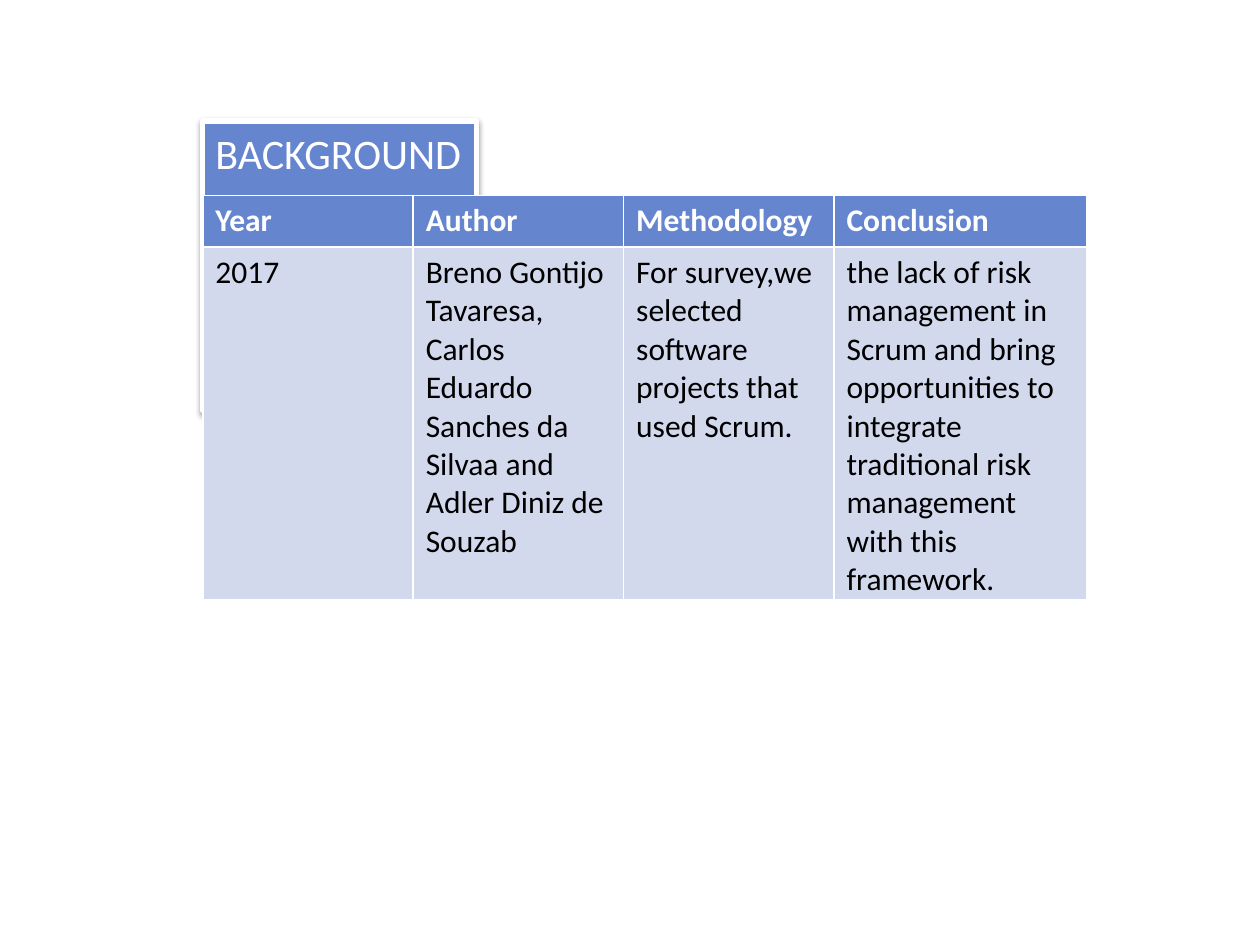
from lxml import etree
from pptx import Presentation
from pptx.dml.color import RGBColor
from pptx.enum.text import MSO_ANCHOR, MSO_AUTO_SIZE, PP_ALIGN
from pptx.oxml import parse_xml
from pptx.oxml.ns import nsdecls
from pptx.util import Inches, Pt

HEADING = "BACKGROUND"
STUDIES = [
    ("Year", "Author", "Methodology", "Conclusion"),
    (
        "2017",
        "Breno Gontijo Tavaresa, Carlos Eduardo Sanches da Silvaa and Adler Diniz de Souzab",
        "For survey,we selected software projects that used Scrum.",
        "the lack of risk management in Scrum and bring opportunities to integrate "
        "traditional risk management with this framework.",
    ),
]
COLORS = {"blue": "6585CF", "pale": "D3D9ED", "white": "FFFFFF", "black": "000000"}
FONT = "Calibri"
LEFT = 1.61
COLUMN_WIDTHS = [1.67, 1.67, 1.67, 2.01]
ROW_HEIGHTS = [0.41, 2.8]


def color(name):
    return RGBColor.from_string(COLORS[name])


def fill(part, name):
    part.fill.solid()
    part.fill.fore_color.rgb = color(name)


def style_text(paragraph, size, color_name, bold=False):
    font = paragraph.font
    font.name, font.size, font.bold = FONT, Pt(size), bold
    font.color.rgb = color(color_name)


presentation = Presentation()
presentation.slide_width, presentation.slide_height = Inches(10), Inches(7.5)
slide = presentation.slides.add_slide(presentation.slide_layouts[5])

# Heading: blue label with a white frame and a soft shadow
heading = slide.shapes.title
heading.left, heading.top = Inches(LEFT), Inches(0.96)
heading.width, heading.height = Inches(2.17), Inches(0.5)
fill(heading, "blue")
heading.line.color.rgb = color("white")
heading.line.width = Pt(3)
heading.element.spPr.append(parse_xml(
    f'<a:effectLst {nsdecls("a")}>'
    f'<a:outerShdw blurRad="{Pt(3.1)}" dist="{Pt(1.6)}" dir="5400000" rotWithShape="0">'
    f'<a:srgbClr val="{COLORS["black"]}"><a:alpha val="38000"/></a:srgbClr>'
    '</a:outerShdw></a:effectLst>'
))
frame = heading.text_frame
frame.text = HEADING
frame.word_wrap = False
frame.auto_size = MSO_AUTO_SIZE.SHAPE_TO_FIT_TEXT
frame.vertical_anchor = MSO_ANCHOR.TOP
frame.paragraphs[0].alignment = PP_ALIGN.LEFT
style_text(frame.paragraphs[0], 24, "white")

# Table of studies; the default table style draws the white rules
table = slide.shapes.add_table(
    len(STUDIES), len(COLUMN_WIDTHS), Inches(LEFT), Inches(1.55),
    Inches(sum(COLUMN_WIDTHS)), Inches(sum(ROW_HEIGHTS)),
).table
for column, width in zip(table.columns, COLUMN_WIDTHS):
    column.width = Inches(width)
for r, (row, height) in enumerate(zip(STUDIES, ROW_HEIGHTS)):
    table.rows[r].height = Inches(height)
    is_header = r == 0
    for c, text in enumerate(row):
        cell = table.cell(r, c)
        cell.text = text
        fill(cell, "blue" if is_header else "pale")
        style_text(cell.text_frame.paragraphs[0], 18,
                   "white" if is_header else "black", is_header)

presentation.save("out.pptx")
